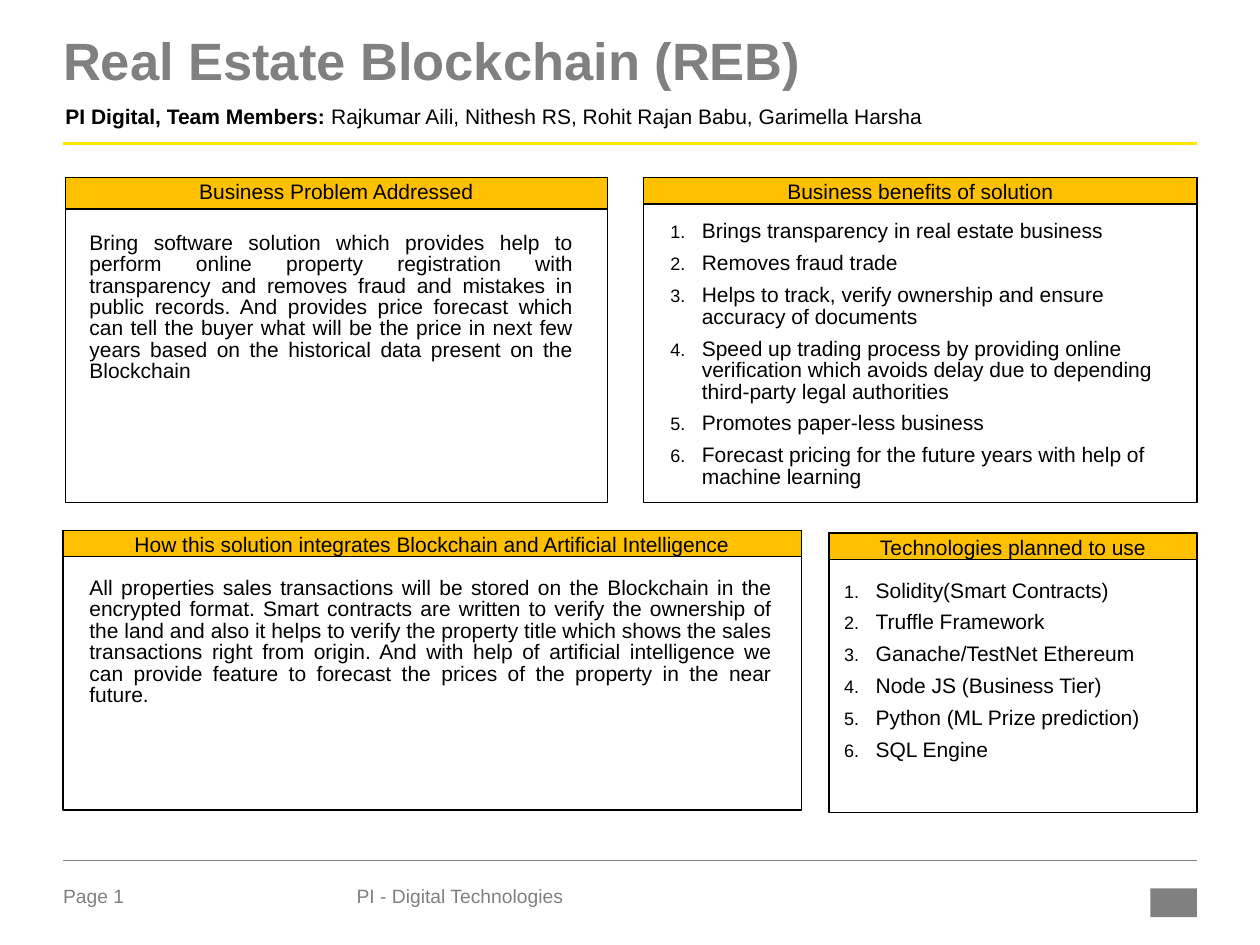
from lxml.etree import SubElement
from pptx import Presentation
from pptx.dml.color import RGBColor
from pptx.enum.shapes import MSO_CONNECTOR, MSO_SHAPE
from pptx.enum.text import MSO_ANCHOR, MSO_AUTO_SIZE, PP_ALIGN
from pptx.oxml.ns import qn
from pptx.util import Inches, Pt

GRAY = RGBColor(0x80, 0x80, 0x80)
YELLOW = RGBColor(0xFF, 0xE6, 0x00)
AMBER = RGBColor(0xFF, 0xC0, 0x00)
BLACK = RGBColor(0, 0, 0)

COLUMNS, ROWS = 100, 75  # grid that covers the slide


class SlideBuilder:
    font_name = "Arial"
    body_size = 12

    def __init__(self, presentation, layout_index):
        self.column = presentation.slide_width / COLUMNS
        self.row = presentation.slide_height / ROWS
        self.slide = presentation.slides.add_slide(
            presentation.slide_layouts[layout_index])

    def area(self, left, top, width, height):
        return (round(left * self.column), round(top * self.row),
                round(width * self.column), round(height * self.row))

    def fill_text(self, shape, paragraphs, size=body_size, color=BLACK,
                  align=PP_ALIGN.LEFT, spacing=0.85, after=6, inset=0.04):
        """Fill a shape; each paragraph is a list of (text, bold) runs."""
        frame = shape.text_frame
        frame.word_wrap = True
        frame.auto_size = MSO_AUTO_SIZE.NONE
        frame.vertical_anchor = MSO_ANCHOR.TOP
        frame.margin_left = frame.margin_right = frame.margin_bottom = 0
        frame.margin_top = Inches(inset)
        for index, runs in enumerate(paragraphs):
            paragraph = frame.add_paragraph() if index else frame.paragraphs[0]
            paragraph.alignment = align
            paragraph.line_spacing = spacing
            paragraph.space_before = Pt(0)
            paragraph.space_after = Pt(after)
            for text, bold in runs:
                run = paragraph.add_run()
                run.text = text
                run.font.name = self.font_name
                run.font.size = Pt(size)
                run.font.bold = bold
                run.font.color.rgb = color

    def text(self, area, runs, **style):
        self.fill_text(self.slide.shapes.add_textbox(*self.area(*area)),
                       [runs], **style)

    def placeholder(self, index, area, paragraphs, **style):
        shape = self.slide.placeholders[index]
        shape.left, shape.top, shape.width, shape.height = self.area(*area)
        self.fill_text(shape, paragraphs, **style)
        return shape

    def numbered_list(self, index, area, items):
        shape = self.placeholder(index, area, [[(item, False)] for item in items])
        for paragraph in shape.text_frame.paragraphs:
            properties = paragraph._p.get_or_add_pPr()
            properties.set("marL", str(Inches(0.25)))
            properties.set("indent", str(-Inches(0.25)))
            SubElement(properties, qn("a:buSzPct"), val="86000")
            SubElement(properties, qn("a:buFont"), typeface=self.font_name)
            SubElement(properties, qn("a:buAutoNum"), type="arabicPeriod")

    def rectangle(self, area, fill=None, line=None):
        shape = self.slide.shapes.add_shape(MSO_SHAPE.RECTANGLE, *self.area(*area))
        shape.shadow.inherit = False
        if fill is None:
            shape.fill.background()
        else:
            shape.fill.solid()
            shape.fill.fore_color.rgb = fill
        if line is None:
            shape.line.fill.background()
        else:
            shape.line.color.rgb = line
            shape.line.width = Pt(0.75)
        return shape

    def panel(self, area, heading, heading_height=2.1):
        left, top, width, height = area
        self.rectangle(area, line=BLACK)
        header = self.rectangle((left, top, width, heading_height), AMBER, BLACK)
        self.fill_text(header, [[(heading, False)]], align=PP_ALIGN.CENTER)

    def rule(self, top, color, weight):
        left, y, width, _ = self.area(5, top, 90, 0)
        line = self.slide.shapes.add_connector(
            MSO_CONNECTOR.STRAIGHT, left, y, left + width, y)
        line.line.color.rgb = color
        line.line.width = Pt(weight)
        SubElement(line._element.spPr, qn("a:effectLst"))


presentation = Presentation()
presentation.slide_width = Inches(10)
presentation.slide_height = Inches(7.5)
builder = SlideBuilder(presentation, 3)  # title and two content areas

# Title, team and rules
builder.placeholder(0, (5, 3, 90, 9.4), [[("Real Estate Blockchain (REB)", True)]],
                    size=30, color=GRAY, after=0, inset=0)
builder.text((5.2, 8.1, 75.6, 2.1), [
    ("PI Digital, Team Members: ", True),
    ("Rajkumar Aili, Nithesh RS, Rohit Rajan Babu, Garimella Harsha", False)])
builder.rule(11.4, YELLOW, 1.5)
builder.rule(68.3, GRAY, 0.25)

# Panels
builder.panel((5.2, 14.1, 43, 25.8), "Business Problem Addressed", 2.5)
builder.panel((51.1, 14.1, 43.9, 25.8), "Business benefits of solution")
builder.panel((5, 42.1, 58.6, 22.2),
              "How this solution integrates Blockchain and Artificial Intelligence")
builder.panel((65.8, 42.3, 29.2, 22.2), "Technologies planned to use")

# Panel paragraphs
for area, text in [
    ((7.1, 18.1, 38.4, 16.2),
     "Bring software solution which provides help to perform online property "
     "registration with transparency and removes fraud and mistakes in public "
     "records. And provides price forecast which can tell the buyer what will be "
     "the price in next few years based on the historical data present on the "
     "Blockchain"),
    ((7.1, 45.5, 54.2, 13.3),
     "All properties sales transactions will be stored on the Blockchain in the "
     "encrypted format. Smart contracts are written to verify the ownership of "
     "the land and also it helps to verify the property title which shows the "
     "sales transactions right from origin. And with help of artificial "
     "intelligence we can provide feature to forecast the prices of the property "
     "in the near future."),
]:
    builder.text(area, [(text, False)], align=PP_ALIGN.JUSTIFY)

# Panel lists
builder.numbered_list(1, (53.2, 17.2, 39, 22.5), [
    "Brings transparency in real estate business",
    "Removes fraud trade",
    "Helps to track, verify ownership and ensure accuracy of documents",
    "Speed up trading process by providing online verification which avoids "
    "delay due to depending third-party legal authorities",
    "Promotes paper-less business",
    "Forecast pricing for the future years with help of machine learning",
])
builder.numbered_list(2, (67, 45.7, 27.9, 17.5), [
    "Solidity(Smart Contracts)",
    "Truffle Framework",
    "Ganache/TestNet Ethereum",
    "Node JS (Business Tier)",
    "Python (ML Prize prediction)",
    "SQL Engine",
])

# Footer, with a plain block at the right
for area, text in [((5, 70.2, 7.9, 2.2), "Page 1"),
                   ((28.3, 70.2, 45.7, 2.2), "PI - Digital Technologies")]:
    builder.text(area, [(text, False)], size=11, color=GRAY,
                 spacing=1, after=0, inset=0)
builder.rectangle((91.3, 70.5, 3.7, 2.3), GRAY)

presentation.save("out.pptx")
